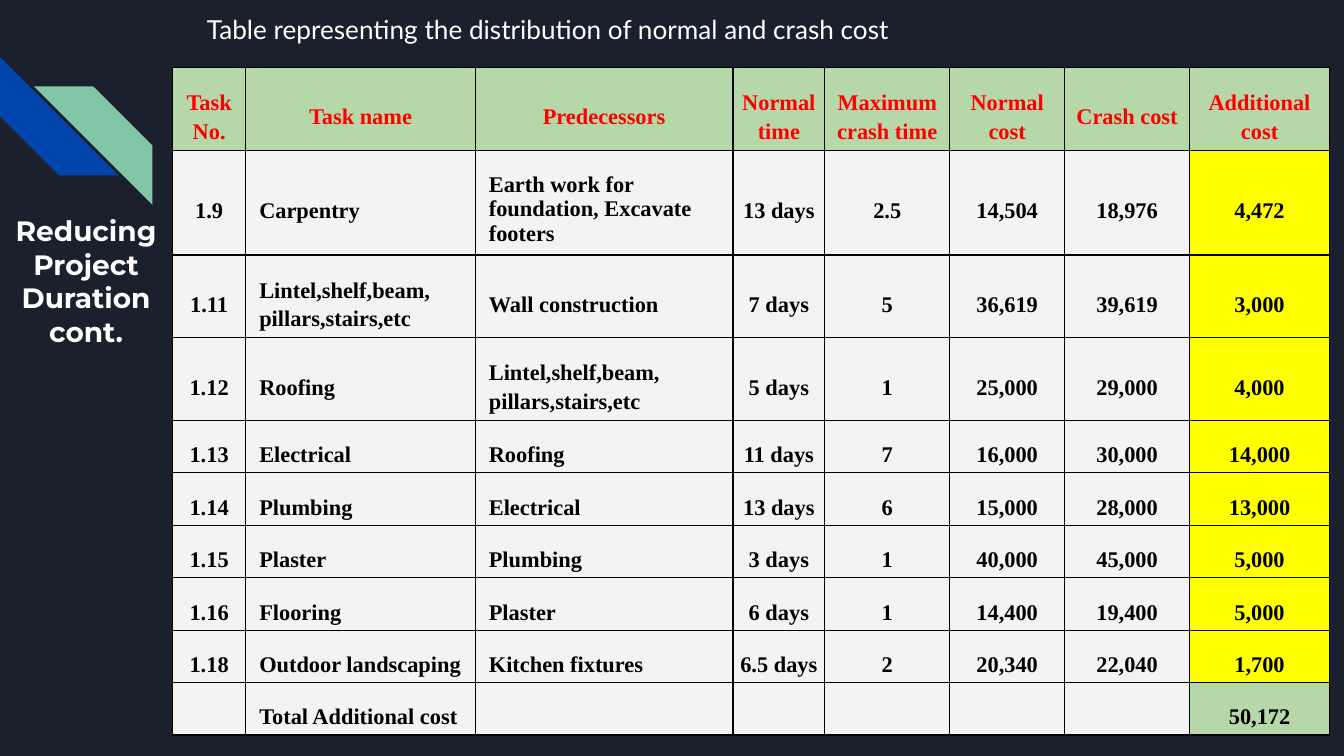
from lxml import etree
from pptx import Presentation
from pptx.dml.color import RGBColor
from pptx.enum.shapes import MSO_SHAPE
from pptx.enum.text import MSO_ANCHOR, PP_ALIGN
from pptx.oxml.ns import qn
from pptx.util import Pt

STRIPE = MSO_SHAPE.DIAGONAL_STRIPE
MIDDLE = MSO_ANCHOR.MIDDLE
LEFT, CENTER, JUSTIFY = PP_ALIGN.LEFT, PP_ALIGN.CENTER, PP_ALIGN.JUSTIFY

TITLE = "Reducing Project Duration cont."
CAPTION = "Table representing the distribution of normal and crash cost"
HEAD = ["Task No.", "Task name", "Predecessors", "Normal time",
        "Maximum crash time", "Normal cost", "Crash cost", "Additional cost"]
TASKS = [
    ["1.9", "Carpentry", "Earth work for foundation, Excavate footers",
     "13 days", "2.5", "14,504", "18,976", "4,472"],
    ["1.11", "Lintel,shelf,beam, pillars,stairs,etc", "Wall construction",
     "7 days", "5", "36,619", "39,619", "3,000"],
    ["1.12", "Roofing", "Lintel,shelf,beam, pillars,stairs,etc",
     "5 days", "1", "25,000", "29,000", "4,000"],
    ["1.13", "Electrical", "Roofing", "11 days", "7", "16,000", "30,000", "14,000"],
    ["1.14", "Plumbing", "Electrical", "13 days", "6", "15,000", "28,000", "13,000"],
    ["1.15", "Plaster", "Plumbing", "3 days", "1", "40,000", "45,000", "5,000"],
    ["1.16", "Flooring", "Plaster", "6 days", "1", "14,400", "19,400", "5,000"],
    ["1.18", "Outdoor landscaping", "Kitchen fixtures",
     "6.5 days", "2", "20,340", "22,040", "1,700"],
]
TOTAL = ["", "Total Additional cost", "", "", "", "", "", "50,172"]
ROWS = [HEAD, *TASKS, TOTAL]

WIDTHS = [39.3, 123, 138, 49.2, 67, 61.5, 67, 75]
HEIGHTS = [44.3, 56.2, 44.3, 44.3] + [28.1] * 6
ALIGNS = {1: JUSTIFY, 2: LEFT}
INSET = 7.2

THEME = {
    "back": "1B212C", "blue": "0145AC", "mint": "82C7A5", "white": "FFFFFF",
    "green": "B6D7A8", "grey": "F3F3F3", "yellow": "FFFF00",
    "red": "FF0000", "black": "000000",
    "caption": ("Lato", 14), "title": ("Montserrat", 15),
    "cell": ("Times New Roman", 12),
}


def color(name):
    return RGBColor.from_string(THEME[name])


def paint(fill, name):
    fill.solid()
    fill.fore_color.rgb = color(name)


def write(frame, text, style, ink="white", bold=False, align=LEFT, space=None):
    para = frame.paragraphs[0]
    para.alignment = align
    para.line_spacing = space
    run = para.add_run()
    run.text = text
    face, size = THEME[style]
    run.font.name, run.font.size, run.font.bold = face, Pt(size), bold
    run.font.color.rgb = color(ink)


def add_text(slide, box, text, style, **form):
    frame = slide.shapes.add_textbox(*map(Pt, box)).text_frame
    frame.word_wrap = True
    frame.margin_left = frame.margin_right = Pt(INSET)
    frame.margin_top = frame.margin_bottom = Pt(INSET)
    write(frame, text, style, **form)


def add_stripe(slide, left, top, name):
    side = Pt(63.5)
    shape = slide.shapes.add_shape(STRIPE, Pt(left), Pt(top), side, side)
    shape.shadow.inherit = False
    paint(shape.fill, name)
    shape.line.fill.background()
    return shape


def add_border(cell):
    props = cell._tc.get_or_add_tcPr()
    for tag in ("a:lnL", "a:lnR", "a:lnT", "a:lnB"):
        line = etree.SubElement(props, qn(tag), w=str(Pt(0.75)))
        fill = etree.SubElement(line, qn("a:solidFill"))
        etree.SubElement(fill, qn("a:srgbClr"), val=THEME["black"])


def cell_fill(row, col):
    last = col == len(HEAD) - 1
    if row == 0 or (last and row == len(ROWS) - 1):
        return "green"
    return "yellow" if last else "grey"


def fill_cell(cell, row, col, text):
    add_border(cell)
    paint(cell.fill, cell_fill(row, col))
    align = ALIGNS.get(col, CENTER) if row else CENTER
    cell.vertical_anchor = MIDDLE
    cell.margin_left = Pt(0 if align == CENTER else INSET)
    cell.margin_right = cell.margin_bottom = Pt(0)
    cell.margin_top = Pt(INSET if text else 0)
    if text:
        # The three-line predecessor cell is set tighter than the rest.
        space = None if (row, col) == (1, 2) else 1.15
        write(cell.text_frame, text, "cell", ink="black" if row else "red",
              bold=True, align=align, space=space)


def add_costs(slide):
    frame = slide.shapes.add_table(
        len(ROWS), len(HEAD), Pt(92.4), Pt(36.2),
        Pt(sum(WIDTHS)), Pt(sum(HEIGHTS)))
    table = frame.table
    for column, width in zip(table.columns, WIDTHS):
        column.width = Pt(width)
    for row, height in zip(table.rows, HEIGHTS):
        row.height = Pt(height)
    for r, texts in enumerate(ROWS):
        for c, text in enumerate(texts):
            fill_cell(table.cell(r, c), r, c, text)


def main():
    deck = Presentation()
    deck.slide_width, deck.slide_height = Pt(720), Pt(405)
    slide = deck.slides.add_slide(deck.slide_layouts[6])
    paint(slide.background.fill, "back")

    add_stripe(slide, 0, 30.4, "blue").rotation = 270
    mint = add_stripe(slide, 18.2, 46.3, "mint")
    mint._element.spPr.xfrm.set("flipH", "1")

    add_text(slide, (103.7, 0, 423.4, 21.6), CAPTION, "caption")
    add_costs(slide)
    add_text(slide, (0, 107.3, 92.2, 113.8), TITLE, "title",
             bold=True, align=CENTER)
    deck.save("out.pptx")


if __name__ == "__main__":
    main()
